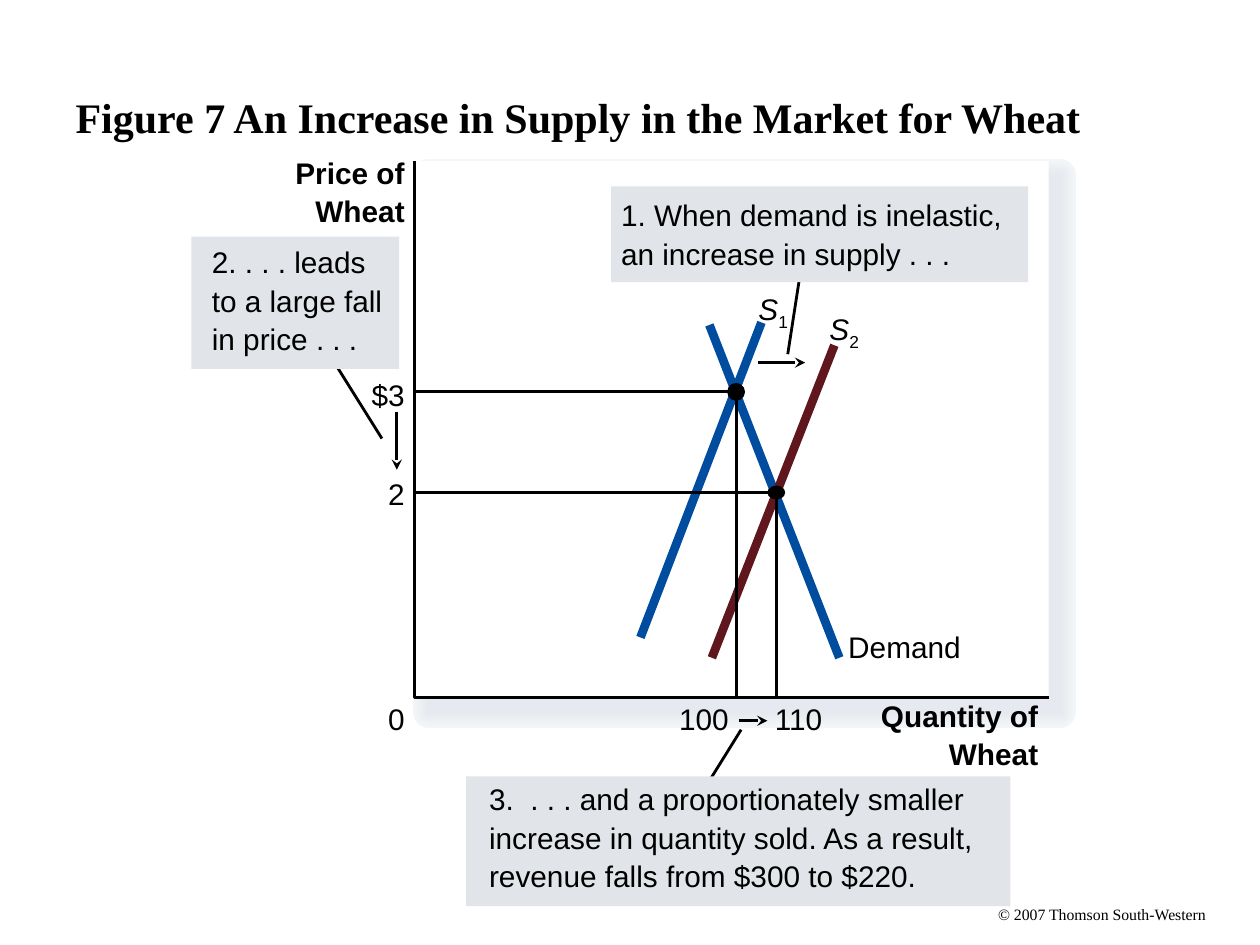
from dataclasses import dataclass

from pptx import Presentation
from pptx.dml.color import RGBColor
from pptx.enum.shapes import MSO_CONNECTOR as Line, MSO_SHAPE as Preset
from pptx.enum.text import MSO_ANCHOR as Anchor, PP_ALIGN as Align
from pptx.oxml.xmlchemy import OxmlElement
from pptx.util import Cm, Pt


@dataclass(frozen=True)
class Theme:
    ink: str = "000000"
    paper: str = "FFFFFF"
    callout: str = "E1E5E9"
    blue: str = "004C9F"
    red: str = "5F161D"
    shades: tuple = ("F3F6F9", "F2F4F8", "F1F4F7", "F0F2F5", "EEF1F4", "EDEFF3",
                     "EBEEF2", "EAECF1", "E9EBF0", "E7EAEF", "E6E9EF")
    shade_step: float = 1.65
    serif: str = "Times New Roman"
    sans: str = "Arial"
    title_size: float = 24
    body_size: float = 17
    small_size: float = 9
    body_pitch: float = 22
    thin: float = 1.62
    arrow: float = 1.75
    curve: float = 5


THEME = Theme()


@dataclass(frozen=True)
class Box:
    """A region of the page, in centimetres."""
    left: float
    top: float
    width: float
    height: float

    def inner(self, x, y, width, height):
        return Box(self.left + x, self.top + y, width, height)

    def point(self, x, y):
        return Cm(self.left + x), Cm(self.top + y)

    def lengths(self):
        return Cm(self.left), Cm(self.top), Cm(self.width), Cm(self.height)


def add_span(para, text, size=THEME.body_size, face=THEME.sans, bold=False, italic=False):
    span = para.add_run()
    span.text = text
    span.font.size, span.font.name = Pt(size), face
    span.font.bold, span.font.italic = bold, italic
    span.font.color.rgb = RGBColor.from_string(THEME.ink)
    return span


def add_text(page, box, lines=(), align=Align.LEFT, **style):
    """Place lines of one paragraph without margins and return the paragraph."""
    frame = page.shapes.add_textbox(*box.lengths()).text_frame
    frame.margin_left = frame.margin_right = frame.margin_top = frame.margin_bottom = 0
    frame.word_wrap = True
    para = frame.paragraphs[0]
    para.alignment = align
    if len(lines) > 1:
        para.line_spacing = Pt(THEME.body_pitch)
    for number, line in enumerate(lines):
        if number:
            para.add_line_break()
        add_span(para, line, **style)
    return para


def add_solid(page, box, color, preset=Preset.RECTANGLE, border=0):
    shape = page.shapes.add_shape(preset, *box.lengths())
    shape.shadow.inherit = False
    shape.fill.solid()
    shape.fill.fore_color.rgb = RGBColor.from_string(color)
    if border:
        shape.line.color.rgb = RGBColor.from_string(color)
        shape.line.width = Pt(border)
    else:
        shape.line.fill.background()


def add_line(page, box, start, end, color=THEME.ink, width=THEME.thin, arrow=False):
    line = page.shapes.add_connector(Line.STRAIGHT, *box.point(*start), *box.point(*end))
    line.line.color.rgb = RGBColor.from_string(color)
    line.line.width = Pt(width)
    if arrow:
        tip = OxmlElement("a:tailEnd")
        tip.set("type", "stealth")
        line.line._get_or_add_ln().append(tip)
    line._element.spPr.append(OxmlElement("a:effectLst"))


def add_corner(page, box, start, *others):
    """Draw an open, unfilled path through the given points."""
    builder = page.shapes.build_freeform(*box.point(*start))
    builder.add_line_segments([box.point(*other) for other in others], close=False)
    shape = builder.convert_to_shape()
    shape.shadow.inherit = False
    shape.fill.background()
    shape.line.color.rgb = RGBColor.from_string(THEME.ink)
    shape.line.width = Pt(THEME.thin)


def add_title(page, box):
    title = page.shapes.title
    title.left, title.top, title.width, title.height = box.lengths()
    frame = title.text_frame
    frame.vertical_anchor, frame.word_wrap = Anchor.MIDDLE, True
    para = frame.paragraphs[0]
    para.alignment = Align.LEFT
    add_span(para, "Figure 7 An Increase in Supply in the Market for Wheat",
             THEME.title_size, THEME.serif, bold=True)


def add_plot_area(page, plot):
    shade = plot.inner(0.28, 0.28, 12.73, plot.height)
    for number, color in enumerate(THEME.shades):
        add_solid(page, shade, color, border=THEME.shade_step * (len(THEME.shades) - number))
    add_solid(page, plot, THEME.paper)
    add_corner(page, plot, (0, 0), (0, plot.height), (plot.width, plot.height))


def add_axis_labels(page, plot):
    add_text(page, plot.inner(-3.2, -0.19, 3, 1.6), ("Price of", "Wheat"), Align.RIGHT, bold=True)
    add_text(page, plot.inner(8.57, 10.76, 4, 1.6), ("Quantity of", "Wheat"), Align.RIGHT, bold=True)
    for y, text in ((4.34, "$3"), (6.35, "2"), (10.87, "0")):
        add_text(page, plot.inner(-1.2, y, 1, 0.86), (text,), Align.RIGHT)
    for x, text in ((5.33, "100"), (7.26, "110")):
        add_text(page, plot.inner(x, 10.87, 1.32, 0.86), (text,))


def add_shift_arrows(page, plot):
    for start, end in (((-0.36, 5.05), (-0.36, 6.22)), ((6.53, 11.28), (7.11, 11.28)),
                       ((6.93, 4.06), (7.87, 4.06))):
        add_line(page, plot, start, end, width=THEME.arrow, arrow=True)


def add_curves(page, plot):
    add_line(page, plot, (5.94, 3.3), (8.56, 10.01), THEME.blue, THEME.curve)
    add_text(page, plot.inner(8.74, 9.42, 2.62, 0.86), ("Demand",))
    supplies = (("1", (6.99, 3.25), (4.55, 9.6), THEME.blue, (6.93, 2.62)),
                ("2", (8.46, 3.71), (5.99, 10.01), THEME.red, (8.36, 3.02)))
    for number, start, end, color, place in supplies:
        add_line(page, plot, start, end, color, THEME.curve)
        para = add_text(page, plot.inner(*place, 0.7, 0.71))
        add_span(para, "S", italic=True)
        add_span(para, number)._r.get_or_add_rPr().set("baseline", "-25000")


def add_equilibria(page, plot):
    for x, y, dot_height in ((7.29, 6.68, 0.28), (6.48, 4.65, 0.36)):
        add_corner(page, plot, (x, plot.height), (x, y), (0, y))
        dot = plot.inner(x - 0.18, y - dot_height / 2, 0.36, dot_height)
        add_solid(page, dot, THEME.ink, Preset.OVAL)


def add_callout(page, plot, box, inset, leader, lines):
    """Draw a leader line in plot coordinates, then the panel over its end."""
    add_line(page, plot, *leader)
    add_solid(page, box, THEME.callout)
    x, y = inset
    add_text(page, box.inner(x, y, box.width - x, box.height - y), lines)


def add_callouts(page, plot):
    add_callout(page, plot, plot.inner(1.04, 12.4, 10.97, 2.62), (0.46, 0.04),
                ((6.58, 11.46), (5.89, 12.57)),
                ("3.  . . . and a proportionately smaller",
                 "increase in quantity sold. As a result,", "revenue falls from $300 to $220."))
    add_callout(page, plot, plot.inner(-4.5, 1.52, 4.19, 2.67), (0.41, 0.09),
                ((-0.66, 5.59), (-1.98, 3.48)),
                ("2. . . . leads", "to a large fall", "in price . . ."))
    add_callout(page, plot, plot.inner(3.96, 0.51, 8.41, 1.93), (0.2, 0.16),
                ((7.52, 3.89), (7.8, 2.08)),
                ("1. When demand is inelastic,", "an increase in supply . . ."))


def main():
    deck = Presentation()
    deck.slide_width, deck.slide_height = Cm(25.4), Cm(19.05)
    page = deck.slides.add_slide(deck.slide_layouts[5])
    add_title(page, Box(1.27, 0.76, 22.86, 3.18))
    add_text(page, Box(20.12, 18.24, 4.4, 0.38), ("© 2007 Thomson South-Western",),
             size=THEME.small_size, face=THEME.serif)
    plot = Box(8.36, 3.25, 12.78, 10.82)
    for add_part in (add_plot_area, add_shift_arrows, add_axis_labels, add_curves,
                     add_callouts, add_equilibria):
        add_part(page, plot)
    deck.save("out.pptx")


if __name__ == "__main__":
    main()
